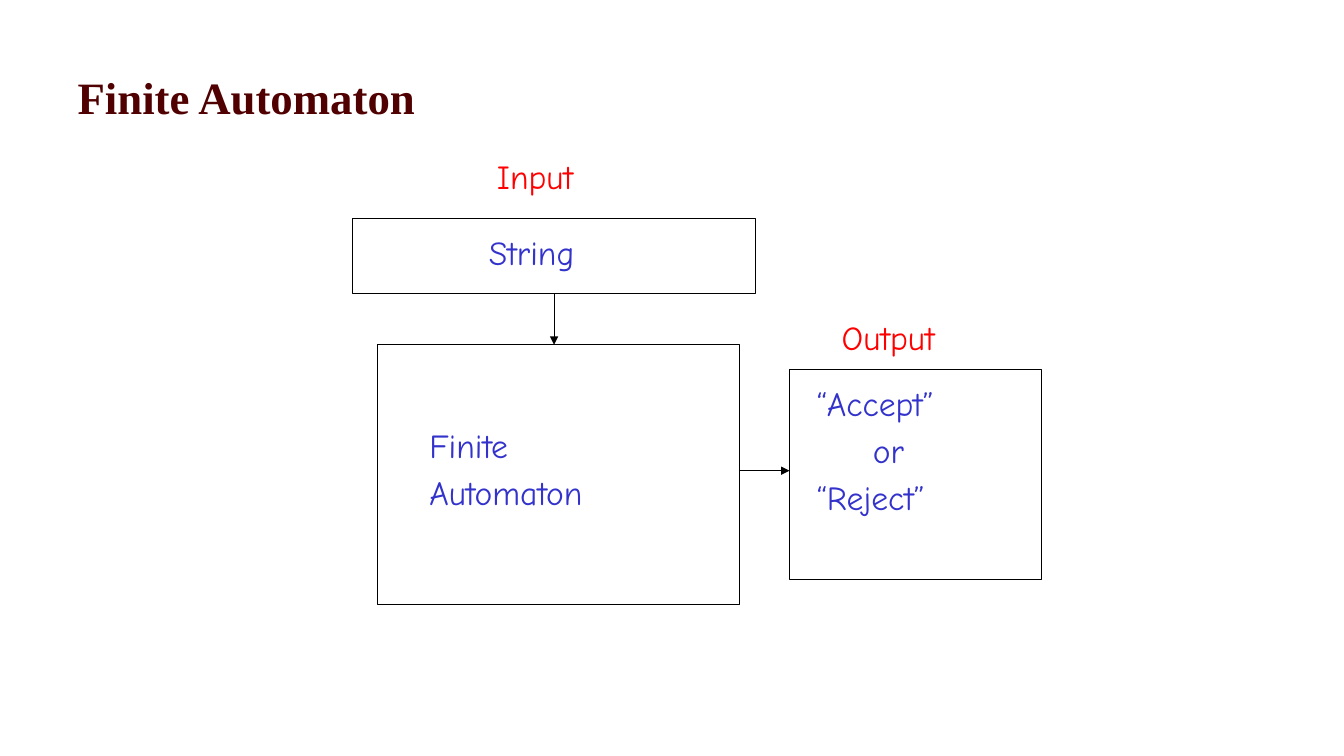
import pptx
import pptx.util
import pptx.dml.color
import pptx.enum.shapes
import pptx.enum.text
import pptx.oxml.ns
import lxml.etree

Inches, Pt = pptx.util.Inches, pptx.util.Pt
COLORS = {"title": "500000", "label": "FF0000", "content": "3333CC", "line": "000000"}
FONT = "Comic Neue"


def rgb(name):
    return pptx.dml.color.RGBColor.from_string(COLORS[name])


presentation = pptx.Presentation()
presentation.slide_width = Inches(13.33)
presentation.slide_height = Inches(7.5)
slide = presentation.slides.add_slide(presentation.slide_layouts[5])

# Title
title = slide.shapes.title
title.left, title.top = Inches(0.67), Inches(0.33)
title.width, title.height = Inches(12), Inches(1.25)
title.text_frame.text = "Finite Automaton"
title.text_frame.vertical_anchor = pptx.enum.text.MSO_ANCHOR.MIDDLE
paragraph = title.text_frame.paragraphs[0]
paragraph.alignment = pptx.enum.text.PP_ALIGN.LEFT
paragraph.font.name = "Times New Roman"
paragraph.font.size = Pt(32)
paragraph.font.bold = True
paragraph.font.color.rgb = rgb("title")

# Boxes: automaton, input, output
boxes = []
for bounds in [(3.74, 3.42, 3.59, 2.58), (3.5, 2.17, 3.99, 0.74), (7.83, 3.67, 2.5, 2.08)]:
    box = slide.shapes.add_shape(
        pptx.enum.shapes.MSO_SHAPE.RECTANGLE, *[Inches(value) for value in bounds])
    box.shadow.inherit = False
    box.fill.background()
    box.line.color.rgb = rgb("line")
    box.line.width = Pt(0.75)
    boxes.append(box)
automaton_box, input_box, output_box = boxes

# Labels and box contents: bounds, colour, lines as (text, left indent)
texts = [
    ((4.83, 1.5, 1.08, 0.5), "label", [("Input", 0)]),
    ((8.25, 3.09, 1.32, 0.5), "label", [("Output", 0)]),
    ((4.75, 2.25, 1.2, 0.5), "content", [("String", 0)]),
    ((4.16, 4.17, 1.9, 0.99), "content", [("Finite", 0), ("Automaton", 0)]),
    ((8, 3.75, 1.58, 1.47), "content", [("“Accept”", 0), ("or", 0.56), ("“Reject”", 0)]),
]
for bounds, color, lines in texts:
    text_box = slide.shapes.add_textbox(*[Inches(value) for value in bounds])
    frame = text_box.text_frame
    frame.word_wrap = True
    for index, (text, indent) in enumerate(lines):
        paragraph = frame.add_paragraph() if index else frame.paragraphs[0]
        paragraph.text = text
        if index:
            paragraph.space_before = Pt(4.8)
        if indent:
            paragraph._p.get_or_add_pPr().set("marL", str(Inches(indent)))
        paragraph.font.name = FONT
        paragraph.font.size = Pt(24)
        paragraph.font.color.rgb = rgb(color)

# Arrows from input to automaton to output
arrows = []
for ends in [(5.49, 2.91, 5.49, 3.42), (7.33, 4.67, 7.83, 4.67)]:
    arrow = slide.shapes.add_connector(
        pptx.enum.shapes.MSO_CONNECTOR.STRAIGHT, *[Inches(value) for value in ends])
    arrow.line.color.rgb = rgb("line")
    arrow.line.width = Pt(0.75)
    lxml.etree.SubElement(
        arrow.line._get_or_add_ln(), pptx.oxml.ns.qn("a:tailEnd"), type="triangle")
    lxml.etree.SubElement(arrow._element.spPr, pptx.oxml.ns.qn("a:effectLst"))
    arrows.append(arrow)
input_arrow, output_arrow = arrows
input_arrow.begin_connect(input_box, 2)
input_arrow.end_x = input_arrow.begin_x

presentation.save("out.pptx")
